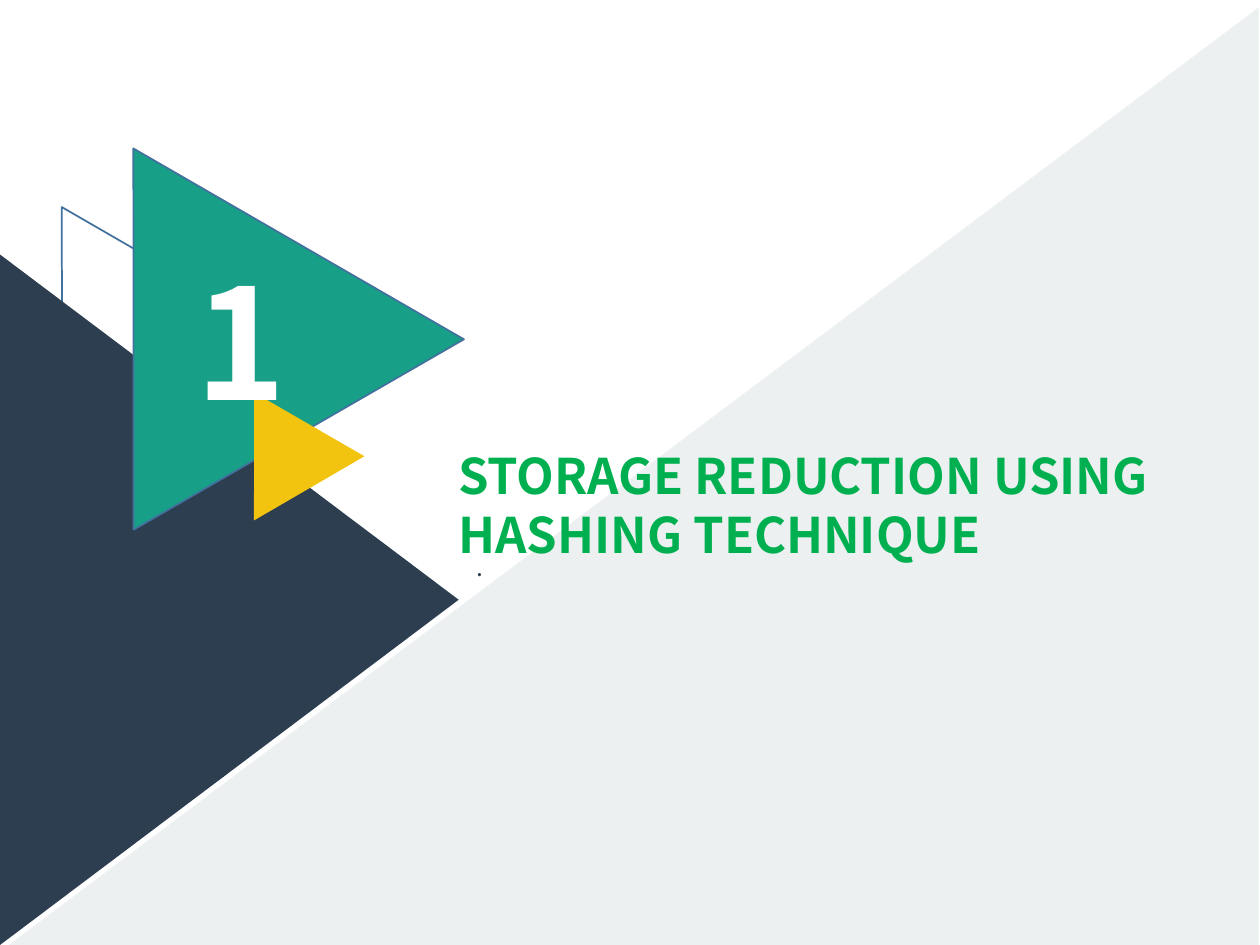
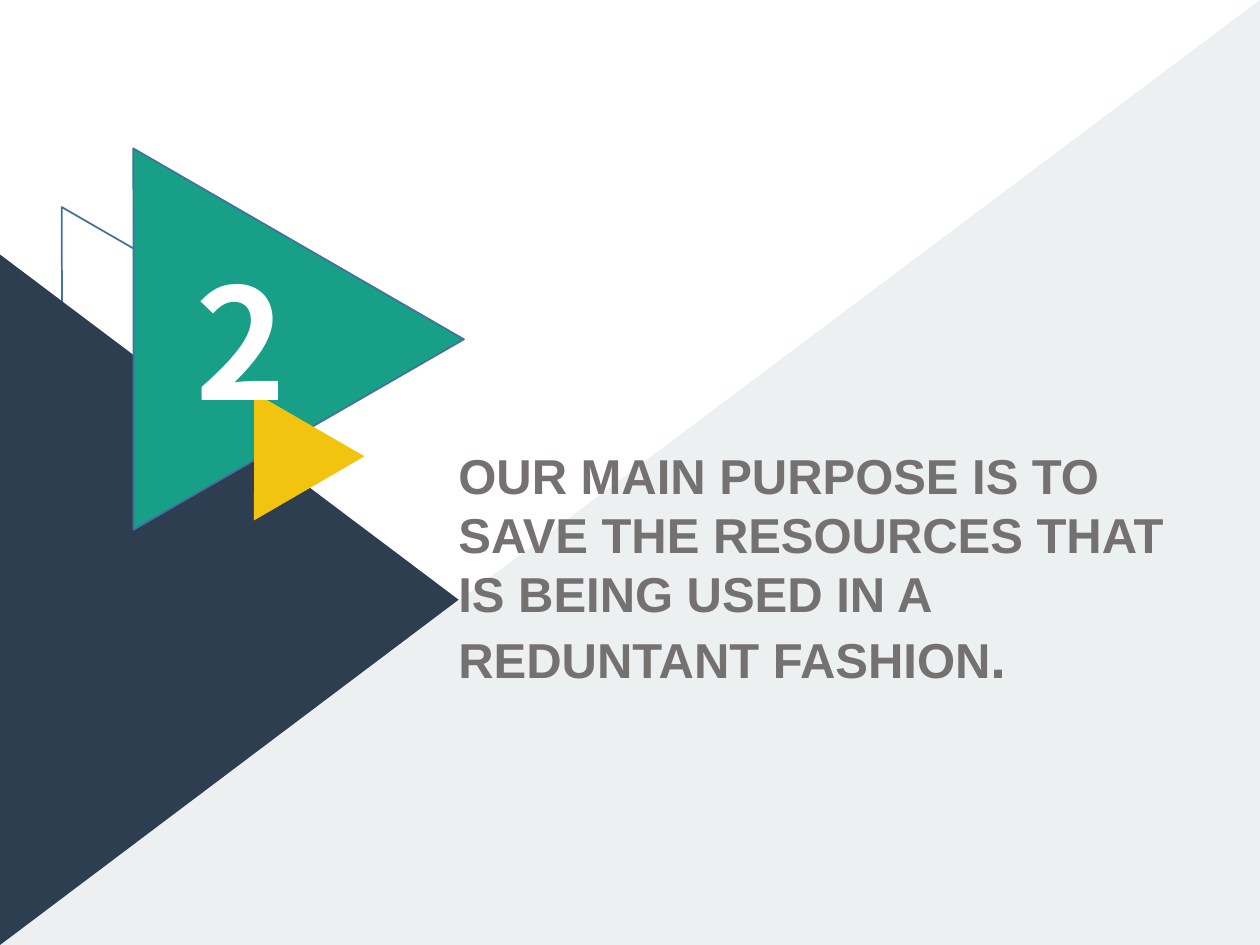
"""Build two numbered section slides with a shared triangle backdrop."""
from dataclasses import dataclass
from typing import Optional

from pptx import Presentation
from pptx import util as u
from pptx.dml.color import RGBColor
from pptx.enum import shapes, text

EMU_PER_PX = 9144
WHITE = RGBColor(0xFF, 0xFF, 0xFF)
MIST = RGBColor(0xEC, 0xF0, 0xF1)
NAVY = RGBColor(0x2D, 0x3E, 0x50)
TEAL = RGBColor(0x17, 0x9F, 0x87)
YELLOW = RGBColor(0xF2, 0xC4, 0x0F)
OUTLINE = RGBColor(0x41, 0x71, 0x9C)
GREEN = RGBColor(0x00, 0xB0, 0x50)
GRAY = RGBColor(0x76, 0x71, 0x71)
NOTO = "Noto Sans CJK SC"
ARIAL = "Arial"
TRIANGLE = shapes.MSO_SHAPE.ISOSCELES_TRIANGLE


@dataclass(frozen=True)
class Box:
    """A rectangle in px, 100 px to the inch."""
    left: int
    top: int
    width: int
    height: int

    def emu(self) -> list[u.Emu]:
        """Return the four lengths in EMU."""
        return [u.Emu(px * EMU_PER_PX)
                for px in (self.left, self.top, self.width, self.height)]


@dataclass(frozen=True)
class Facet:
    """A triangle of the backdrop."""
    box: Box
    rotation: int = 0
    fill: Optional[RGBColor] = None
    outline: Optional[RGBColor] = None
    kind: shapes.MSO_SHAPE = TRIANGLE


@dataclass(frozen=True)
class Run:
    """A stretch of text in one format."""
    words: str
    size: int
    color: RGBColor
    font: str = NOTO
    bold: bool = True


@dataclass(frozen=True)
class Label:
    """A text box with one list of runs per paragraph."""
    box: Box
    paragraphs: list[list[Run]]
    inset: bool = True
    align: Optional[text.PP_ALIGN] = None
    space_before: int = 0


@dataclass(frozen=True)
class Section:
    """The content of one section slide."""
    number: str
    ground: Box
    labels: list[Label]


GHOST = Facet(Box(-15, 208, 227, 195), 210, outline=OUTLINE)
FRONT = [
    Facet(Box(-92, 294, 548, 364), 90, NAVY),
    Facet(Box(20, 176, 303, 262), 210, TEAL, OUTLINE),
    Facet(Box(173, 331, 101, 88), 210, YELLOW),
]
NUMBER_BOX = Box(145, 191, 149, 153)

SECTIONS = [
    Section("1", Box(-1, 6, 1000, 750), [
        Label(Box(354, 349, 616, 151), [
            [Run("STORAGE REDUCTION USING", 28, GREEN)],
            [Run("HASHING TECHNIQUE", 28, GREEN)],
        ]),
        Label(Box(378, 438, 494, 24), [[Run(".", 14, NAVY, bold=False)]],
              inset=False, align=text.PP_ALIGN.JUSTIFY, space_before=3),
    ]),
    Section("2", Box(0, 0, 1000, 750), [
        Label(Box(354, 349, 616, 205), [[
            Run("OUR MAIN PURPOSE IS TO SAVE THE RESOURCES THAT "
                "IS BEING USED IN A REDUNTANT FASHION", 28, GRAY, ARIAL),
            Run(".", 32, GRAY, ARIAL),
        ]]),
    ]),
]


def draw_facet(slide, facet: Facet) -> None:
    """Draw one triangle."""
    triangle = slide.shapes.add_shape(facet.kind, *facet.box.emu())
    triangle.shadow.inherit = False
    triangle.rotation = facet.rotation
    if facet.fill is None:
        triangle.fill.background()
    else:
        triangle.fill.solid()
        triangle.fill.fore_color.rgb = facet.fill
    if facet.outline is None:
        triangle.line.fill.background()
    else:
        triangle.line.color.rgb = facet.outline
        triangle.line.width = u.Pt(1)


def draw_ground(slide, box: Box) -> None:
    """Draw the pale half of the slide, below its rising diagonal."""
    right, bottom = box.left + box.width, box.top + box.height
    outline = slide.shapes.build_freeform(box.left, bottom, scale=EMU_PER_PX)
    outline.add_line_segments([(right, box.top), (right, bottom)])
    ground = outline.convert_to_shape()
    ground.shadow.inherit = False
    ground.fill.solid()
    ground.fill.fore_color.rgb = MIST
    ground.line.fill.background()


def draw_label(slide, label: Label) -> None:
    """Draw one text box."""
    frame = slide.shapes.add_textbox(*label.box.emu()).text_frame
    frame_format = {"word_wrap": True,
                    "auto_size": text.MSO_AUTO_SIZE.SHAPE_TO_FIT_TEXT}
    if not label.inset:
        sides = ("left", "top", "right", "bottom")
        frame_format.update({f"margin_{side}": 0 for side in sides})
    for key, value in frame_format.items():
        setattr(frame, key, value)
    for index, runs in enumerate(label.paragraphs):
        paragraph = frame.add_paragraph() if index else frame.paragraphs[0]
        paragraph.alignment = label.align
        paragraph.space_before = u.Pt(label.space_before)
        for run in runs:
            part = paragraph.add_run()
            part.text = run.words
            part.font.color.rgb = run.color
            font_format = {"name": run.font, "size": u.Pt(run.size),
                           "bold": run.bold}
            for key, value in font_format.items():
                setattr(part.font, key, value)


def draw_section(deck, section: Section) -> None:
    """Add one section slide."""
    slide = deck.slides.add_slide(deck.slide_layouts[6])
    draw_facet(slide, GHOST)
    draw_ground(slide, section.ground)
    for facet in FRONT:
        draw_facet(slide, facet)
    draw_label(slide, Label(NUMBER_BOX, [[Run(section.number, 88, WHITE)]]))
    for label in section.labels:
        draw_label(slide, label)


def main() -> None:
    """Build and save the deck."""
    deck = Presentation()
    deck.slide_width, deck.slide_height = Box(0, 0, 1000, 750).emu()[2:]
    for section in SECTIONS:
        draw_section(deck, section)
    deck.save("out.pptx")


if __name__ == "__main__":
    main()
